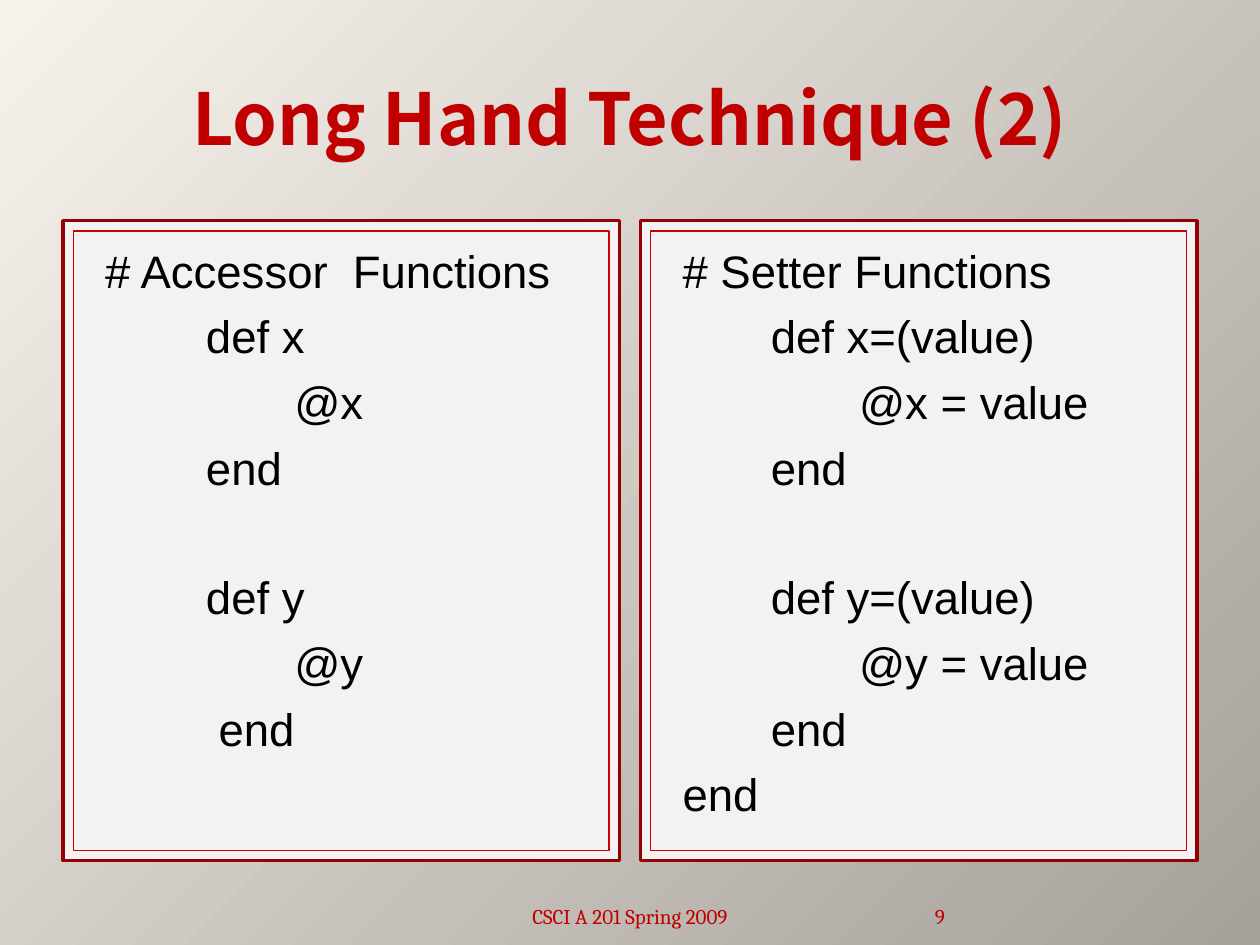
from dataclasses import dataclass

from pptx import Presentation
from pptx.dml.color import RGBColor
from pptx.enum.shapes import MSO_SHAPE as Shape
from pptx.enum.text import MSO_ANCHOR as Anchor, PP_ALIGN as Align
from pptx.oxml import parse_xml
from pptx.oxml.ns import nsdecls
from pptx.slide import Slide
from pptx.util import Cm, Pt

CREAM = RGBColor(0xF7, 0xF3, 0xEC)
STONE = RGBColor(0xA6, 0xA2, 0x9B)
PANEL_GRAY = RGBColor(0xF2, 0xF2, 0xF2)
DARK_RED = RGBColor(0x97, 0x00, 0x00)
BRIGHT_RED = RGBColor(0xCC, 0x00, 0x00)
TITLE_RED = RGBColor(0xC0, 0x00, 0x00)
BLACK = RGBColor(0x00, 0x00, 0x00)

PANEL_TOP, PANEL_WIDTH, PANEL_HEIGHT = 4.45, 11.22, 12.9
INNER_GAP = 0.21
LINE_GAP, METHOD_GAP = 6.4, 42.7


@dataclass
class CodePanel:
    left: float
    methods: list[list[str]]


@dataclass
class FooterItem:
    text: str
    left: float
    width: float
    side_margin: float
    align: Align


PANELS = [
    CodePanel(1.27, [
        ["# Accessor  Functions", "        def x", "               @x", "        end"],
        ["        def y", "               @y", "         end"],
    ]),
    CodePanel(12.91, [
        ["# Setter Functions", "       def x=(value)",
         "              @x = value", "       end"],
        ["       def y=(value)", "              @y = value", "       end", "end"],
    ]),
]

FOOTER = [
    FooterItem("CSCI A 201 Spring 2009", 8.68, 8.04, 0.25, Align.CENTER),
    FooterItem("9", 16.93, 2.12, 0, Align.RIGHT),
]


def add_run(paragraph, text: str, font: str, size: float, color: RGBColor, bold: bool = False):
    run = paragraph.add_run()
    run.text = text
    run.font.name = font
    run.font.size = Pt(size)
    run.font.color.rgb = color
    run.font.bold = bold


def paint_background(slide: Slide):
    fill = slide.background.fill
    fill.gradient()
    for stop, color, position in zip(fill.gradient_stops, (CREAM, STONE), (0, 1)):
        stop.color.rgb = color
        stop.position = position
    linear = slide.element.xpath(".//p:bg//a:lin")[0]
    radial = parse_xml(
        f'<a:path {nsdecls("a")} path="circle"><a:fillToRect r="100000" b="100000"/></a:path>'
    )
    linear.getparent().replace(linear, radial)


def add_title(slide: Slide, text: str):
    title = slide.shapes.title
    title.left, title.top, title.width, title.height = Cm(1.27), Cm(0.76), Cm(22.86), Cm(3.18)
    frame = title.text_frame
    frame.vertical_anchor = Anchor.MIDDLE
    frame.paragraphs[0].alignment = Align.CENTER
    add_run(frame.paragraphs[0], text, "Noto Sans CJK SC", 41, TITLE_RED, bold=True)


def add_frame(slide: Slide, left: float, inset: float, color: RGBColor, weight: float):
    frame = slide.shapes.add_shape(
        Shape.RECTANGLE, Cm(left + inset), Cm(PANEL_TOP + inset),
        Cm(PANEL_WIDTH - 2 * inset), Cm(PANEL_HEIGHT - 2 * inset),
    )
    frame.shadow.inherit = False
    frame.fill.solid()
    frame.fill.fore_color.rgb = PANEL_GRAY
    frame.line.color.rgb = color
    frame.line.width = Pt(weight)
    return frame


def add_code_panel(slide: Slide, panel: CodePanel):
    add_frame(slide, panel.left, 0, DARK_RED, 2)
    text = add_frame(slide, panel.left, INNER_GAP, BRIGHT_RED, 0.75).text_frame
    text.word_wrap = True
    text.vertical_anchor = Anchor.TOP
    text.margin_left, text.margin_top = Cm(0.64), Cm(0.23)
    paragraph = None
    for method in panel.methods:
        for row, code in enumerate(method):
            if paragraph is None:
                paragraph = text.paragraphs[0]
            else:
                paragraph = text.add_paragraph()
                paragraph.space_before = Pt(LINE_GAP if row else METHOD_GAP)
            paragraph.alignment = Align.LEFT
            add_run(paragraph, code, "Arial", 26, BLACK)


def add_footer_item(slide: Slide, item: FooterItem):
    box = slide.shapes.add_textbox(Cm(item.left), Cm(17.83), Cm(item.width), Cm(1.02))
    text = box.text_frame
    text.word_wrap = True
    text.vertical_anchor = Anchor.BOTTOM
    text.margin_left = text.margin_right = Cm(item.side_margin)
    text.paragraphs[0].alignment = item.align
    add_run(text.paragraphs[0], item.text, "Cambria", 12, TITLE_RED)


def main():
    deck = Presentation()
    deck.slide_width, deck.slide_height = Cm(25.4), Cm(19.05)
    slide = deck.slides.add_slide(deck.slide_layouts[5])
    paint_background(slide)
    add_title(slide, "Long Hand Technique (2)")
    for panel in PANELS:
        add_code_panel(slide, panel)
    for item in FOOTER:
        add_footer_item(slide, item)
    deck.save("out.pptx")


if __name__ == "__main__":
    main()
